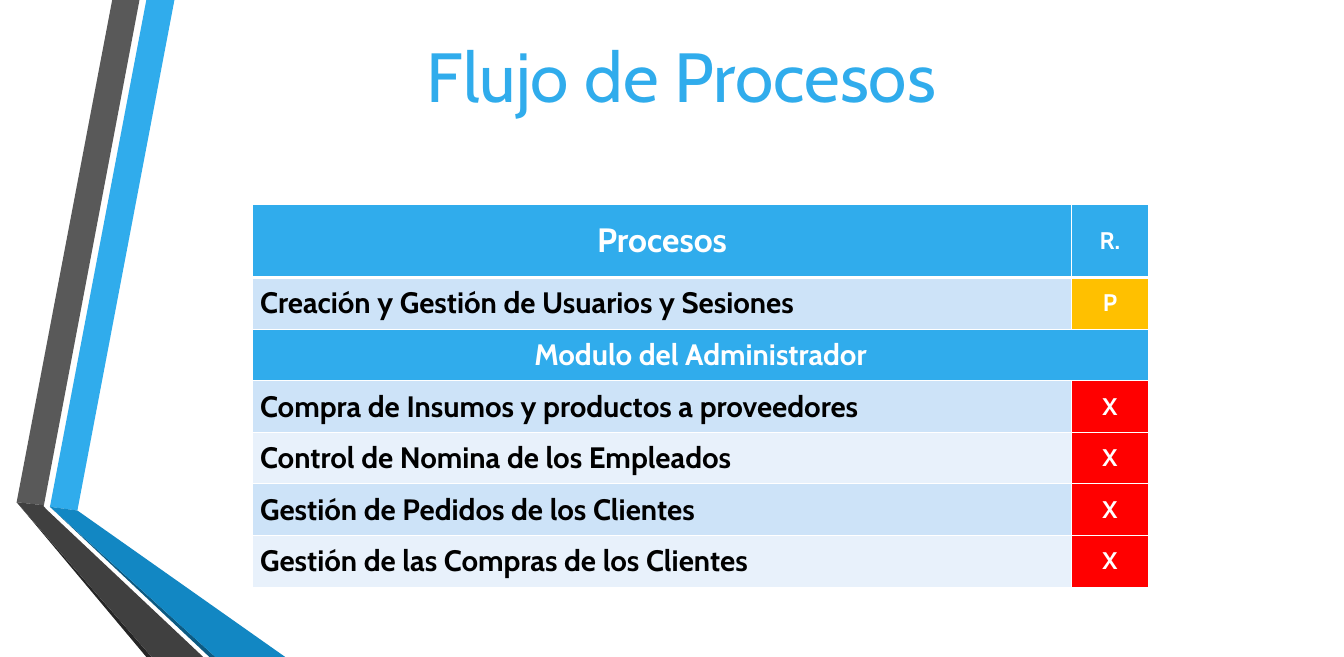
"""Build the process flow slide with its status table and folded ribbon."""
from dataclasses import dataclass

from lxml.etree import SubElement
from pptx import Presentation
from pptx.dml.color import RGBColor
from pptx.enum.text import MSO_ANCHOR, MSO_AUTO_SIZE, PP_ALIGN
from pptx.oxml.ns import qn
from pptx.util import Emu, Inches, Pt

FONT = "Cabin"
COLORS = {
    "blue": "30ACEC", "mid_blue": "1287C3", "deep_blue": "0C5A82",
    "gray": "595959", "dark_gray": "404040", "near_black": "262626",
    "band": "CDE3F8", "light_band": "E8F1FB", "amber": "FFC000",
    "red": "FF0000", "white": "FFFFFF", "black": "000000",
}
SLIDE_W, SLIDE_H = Inches(17.72), Inches(8.66)


@dataclass(frozen=True)
class Ribbon:
    color: str
    points: tuple[tuple[float, float], ...]


@dataclass(frozen=True)
class Process:
    name: str
    fill: str
    status: str = ""
    status_fill: str = ""


RIBBONS = (
    Ribbon("blue", ((3.72, 77.14), (5.76, 77.71), (12.98, 0), (10.89, 0))),
    Ribbon("gray", ((10.38, 0), (8.35, 0), (1.24, 76.44), (3.27, 76.91))),
    Ribbon("near_black", ((1.24, 76.44), (10.89, 100), (11.29, 100))),
    Ribbon("deep_blue", ((3.72, 77.14), (15.58, 100), (16.03, 100))),
    Ribbon("mid_blue", ((3.72, 77.14), (16.03, 100), (21.22, 100), (5.76, 77.71))),
    Ribbon("dark_gray", ((15.12, 100), (3.61, 77.83), (3.22, 77.02), (3.27, 76.91),
                         (1.24, 76.44), (11.29, 100))),
)
PROCESSES = (
    Process("Procesos", "blue", "R.", "blue"),
    Process("Creación y Gestión de Usuarios y Sesiones", "band", "P", "amber"),
    Process("Modulo del Administrador", "blue"),
    Process("Compra de Insumos y productos a proveedores", "band", "X", "red"),
    Process("Control de Nomina de los Empleados", "light_band", "X", "red"),
    Process("Gestión de Pedidos de los Clientes", "band", "X", "red"),
    Process("Gestión de las Compras de los Clientes", "light_band", "X", "red"),
)
COLUMN_SHARES = (60.95, 5.7)
HEADER_SHARE, ROW_SHARE = 11.2, 7.85


def across(share: float) -> Emu:
    return Emu(round(SLIDE_W * share / 100))


def down(share: float) -> Emu:
    return Emu(round(SLIDE_H * share / 100))


def rgb(name: str) -> RGBColor:
    return RGBColor.from_string(COLORS[name])


def write(tf, text: str, size: float, color: str, align, bold: bool = False) -> None:
    p = tf.paragraphs[0]
    p.alignment = align
    r = p.add_run()
    r.text = text
    r.font.name = FONT
    r.font.size = Pt(size)
    r.font.bold = bold
    r.font.color.rgb = rgb(color)


def draw_ribbon(s, ribbon: Ribbon) -> None:
    start, *rest = [(across(x), down(y)) for x, y in ribbon.points]
    builder = s.shapes.build_freeform(*start, scale=1.0)
    builder.add_line_segments(rest, close=True)
    sp = builder.convert_to_shape()
    sp.shadow.inherit = False
    sp.fill.solid()
    sp.fill.fore_color.rgb = rgb(ribbon.color)
    sp.line.fill.background()


def draw_title(s, text: str) -> None:
    sp = s.shapes.title
    sp.left, sp.top = across(29.68), down(4.04)
    sp.width, sp.height = across(42.04), down(11.78)
    tf = sp.text_frame
    tf.word_wrap = True
    tf.auto_size = MSO_AUTO_SIZE.NONE
    tf.vertical_anchor = MSO_ANCHOR.TOP
    tf.margin_top = down(1)
    write(tf, text, 66, "blue", PP_ALIGN.CENTER)


def style_cell(cell, fill: str, top: float, bottom: float) -> None:
    tc_pr = cell._tc.get_or_add_tcPr()
    for side, width in (("L", 1), ("R", 1), ("T", top), ("B", bottom)):
        ln = SubElement(tc_pr, qn(f"a:ln{side}"), w=str(Pt(width)))
        line_fill = SubElement(ln, qn("a:solidFill"))
        SubElement(line_fill, qn("a:srgbClr"), val=COLORS["white"])
    cell.fill.solid()
    cell.fill.fore_color.rgb = rgb(fill)
    cell.vertical_anchor = MSO_ANCHOR.MIDDLE


def draw_table(s, processes: tuple[Process, ...]) -> None:
    heights = [HEADER_SHARE] + [ROW_SHARE] * (len(processes) - 1)
    table = s.shapes.add_table(
        len(processes), len(COLUMN_SHARES), across(18.79), down(31.06),
        across(sum(COLUMN_SHARES)), down(sum(heights))).table
    table.first_row = table.horz_banding = False
    for column, share in zip(table.columns, COLUMN_SHARES):
        column.width = across(share)
    for i, (process, height) in enumerate(zip(processes, heights)):
        table.rows[i].height = down(height)
        name, status = table.cell(i, 0), table.cell(i, 1)
        top, bottom = 3 if i == 1 else 1, 3 if i == 0 else 1
        style_cell(name, process.fill, top, bottom)
        style_cell(status, process.status_fill or process.fill, top, bottom)
        heading = process.fill == "blue"
        write(name.text_frame, process.name, 32 if i == 0 else 28,
              "white" if heading else "black",
              PP_ALIGN.CENTER if heading else PP_ALIGN.LEFT, True)
        if process.status:
            write(status.text_frame, process.status, 22.8, "white", PP_ALIGN.CENTER, True)
        else:
            name.merge(status)


def main() -> None:
    prs = Presentation()
    prs.slide_width, prs.slide_height = SLIDE_W, SLIDE_H
    s = prs.slides.add_slide(prs.slide_layouts[5])
    s.background.fill.solid()
    s.background.fill.fore_color.rgb = rgb("white")
    for ribbon in RIBBONS:
        draw_ribbon(s, ribbon)
    draw_title(s, "Flujo de Procesos")
    draw_table(s, PROCESSES)
    prs.save("out.pptx")


if __name__ == "__main__":
    main()
